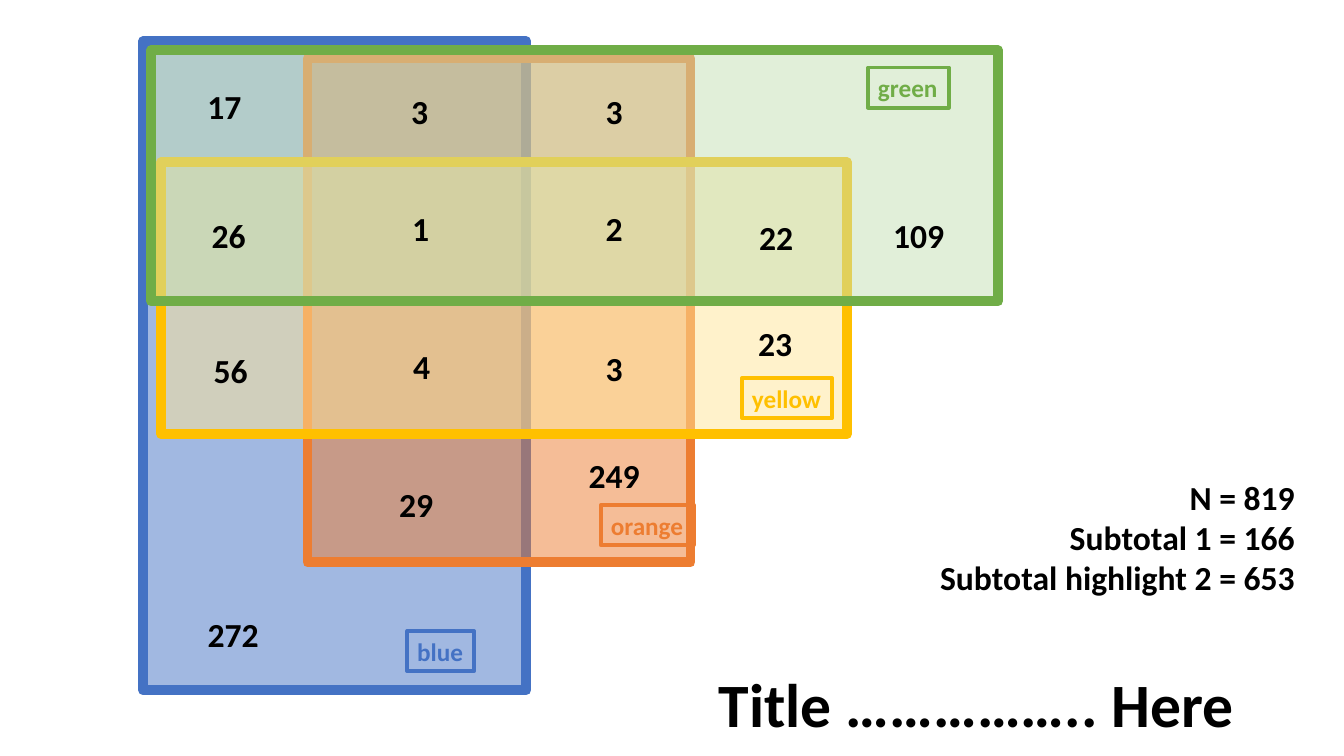
from dataclasses import dataclass

from lxml import etree
from pptx import Presentation, util as u
from pptx.dml.color import RGBColor
from pptx.enum import shapes, text
from pptx.oxml.ns import qn


@dataclass(frozen=True)
class Theme:
    """Colours, type sizes (pt) and line widths (pt)."""
    font: str = "Calibri"
    ink: str = "000000"
    blue: str = "4472C4"
    orange: str = "ED7D31"
    yellow: str = "FFC000"
    green: str = "70AD47"
    pale_yellow: str = "FFE699"
    pale_green: str = "C5E0B4"
    tag_size: int = 18
    body_size: int = 24
    title_size: int = 44
    set_line: float = 7
    tag_line: float = 2.75
    set_alpha: int = 50


T = Theme()

# left, top, width, height, fill, line
SETS = [
    (1.42, 0.41, 3.8, 6.44, T.blue, T.blue),
    (3.05, 0.58, 3.8, 5, T.orange, T.orange),
    (1.6, 1.61, 6.8, 2.7, T.pale_yellow, T.yellow),
    (1.5, 0.5, 8.4, 2.49, T.pale_green, T.green),
]

# name, left, top, width, colour
TAGS = [
    ("blue", 4.04, 6.26, 0.66, T.blue),
    ("green", 8.61, 0.67, 0.8, T.green),
    ("yellow", 7.36, 3.75, 0.89, T.yellow),
    ("orange", 5.96, 5.01, 0.92, T.orange),
]

# count, left, top
COUNTS = [
    (17, 1.96, 0.8), (3, 3.98, 0.85), (3, 5.91, 0.85),
    (26, 2, 2.08), (1, 3.99, 2.01), (2, 5.91, 2.01), (22, 7.43, 2.1), (109, 8.76, 2.08),
    (56, 2.02, 3.42), (4, 4, 3.38), (3, 5.91, 3.4), (23, 7.42, 3.15),
    (29, 3.86, 4.75), (249, 5.74, 4.46), (272, 1.96, 6.04),
]


def rgb(value):
    """Turn an RRGGBB string into a colour."""
    return RGBColor.from_string(value)


def box(left, top, width, height):
    """Return a position and size in inches as lengths."""
    return [u.Inches(v) for v in (left, top, width, height)]


def write(sp, lines, size, color=T.ink, align=text.PP_ALIGN.LEFT, wrap=False):
    """Fill a shape with bold lines of text, one paragraph each."""
    tf = sp.text_frame
    tf.word_wrap = wrap
    tf.auto_size = text.MSO_AUTO_SIZE.SHAPE_TO_FIT_TEXT
    tf.vertical_anchor = text.MSO_ANCHOR.TOP
    tf.text = "\n".join(lines)
    for p in tf.paragraphs:
        p.alignment = align
        p.font.name = T.font
        p.font.size = u.Pt(size)
        p.font.bold = True
        p.font.color.rgb = rgb(color)


def add_rect(s, bounds, line, width):
    """Add an outlined rectangle without shadow or fill."""
    sp = s.shapes.add_shape(shapes.MSO_SHAPE.RECTANGLE, *box(*bounds))
    sp.shadow.inherit = False
    sp.fill.background()
    sp.line.color.rgb = rgb(line)
    sp.line.width = u.Pt(width)
    return sp


def add_set(s, left, top, width, height, fill, line):
    """Add a translucent set rectangle with rounded line joins."""
    sp = add_rect(s, (left, top, width, height), line, T.set_line)
    sp.fill.solid()
    sp.fill.fore_color.rgb = rgb(fill)
    spPr = sp._element.spPr
    color = spPr.find(qn("a:solidFill")).find(qn("a:srgbClr"))
    etree.SubElement(color, qn("a:alpha")).set("val", str(T.set_alpha * 1000))
    etree.SubElement(spPr.find(qn("a:ln")), qn("a:round"))


def add_tag(s, name, left, top, width, color):
    """Add the outlined name of a set."""
    sp = add_rect(s, (left, top, width, 0.4), color, T.tag_line)
    write(sp, [name], T.tag_size, color)


def add_text(s, bounds, lines, size, **style):
    """Add a text box."""
    write(s.shapes.add_textbox(*box(*bounds)), lines, size, **style)


def add_count(s, count, left, top):
    """Add a region's count in a box as wide as its digits."""
    label = str(count)
    add_text(s, (left, top, 0.2 + 0.17 * len(label), 0.5), [label], T.body_size)


def main():
    """Build the slide and save it."""
    prs = Presentation()
    prs.slide_width, prs.slide_height = u.Inches(13.33), u.Inches(7.5)
    s = prs.slides.add_slide(prs.slide_layouts[6])
    for row in SETS:
        add_set(s, *row)
    for row in TAGS:
        add_tag(s, *row)
    for row in COUNTS:
        add_count(s, *row)
    totals = ["N = 819", "Subtotal 1 = 166", "Subtotal highlight 2 = 653"]
    add_text(s, (9.19, 4.68, 3.75, 1.62), totals, T.body_size, align=text.PP_ALIGN.RIGHT)
    add_text(s, (7.03, 6.56, 6.06, 0.84), ["Title …………….. Here"], T.title_size, wrap=True)
    prs.save("out.pptx")


main()
